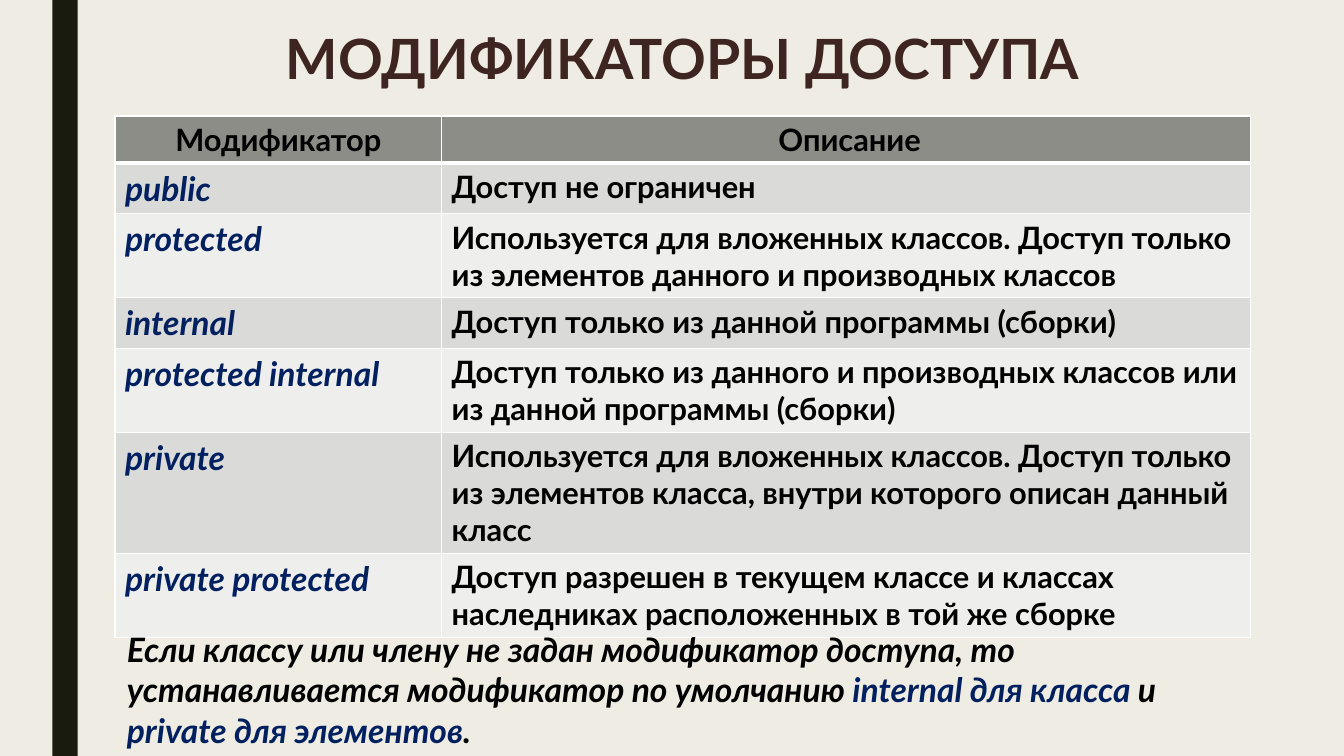
"""Build a slide with a table of access modifiers."""
from lxml.etree import SubElement as Sub
from pptx import Presentation
from pptx.dml.color import RGBColor
from pptx.enum.shapes import MSO_SHAPE as Shape
from pptx.enum.text import MSO_ANCHOR as Anchor, PP_ALIGN as Align
from pptx.oxml.ns import qn
from pptx.util import Inches, Pt

PAPER = RGBColor(0xEF, 0xED, 0xE3)
DARK = RGBColor(0x19, 0x1B, 0x0E)
BROWN = RGBColor(0x3E, 0x25, 0x22)
NAVY = RGBColor(0x00, 0x20, 0x60)
BLACK = RGBColor(0x00, 0x00, 0x00)
WHITE = RGBColor(0xFF, 0xFF, 0xFF)
HEAD = RGBColor(0x8C, 0x8D, 0x86)
BANDS = (RGBColor(0xEE, 0xEE, 0xED), RGBColor(0xDA, 0xDB, 0xD9))

WIDTHS = (3.24, 8.02)
ROWS = (
    (0.47, "Модификатор", " Описание"),
    (0.5, "public", "Доступ не ограничен"),
    (0.83, "protected", "Используется для вложенных классов. Доступ только "
     "из элементов данного и производных классов"),
    (0.5, "internal", "Доступ только из данной программы (сборки)"),
    (0.83, "protected internal", "Доступ только из данного и производных "
     "классов или из данной программы (сборки)"),
    (1.2, "private", "Используется для вложенных классов. Доступ только "
     "из элементов класса, внутри которого описан данный класс"),
    (0.83, "private protected", "Доступ разрешен в текущем классе и классах "
     "наследниках расположенных в той же сборке"),
)
NOTE = (
    ("Если классу или члену не задан модификатор доступа, то "
     "устанавливается модификатор по умолчанию ", BLACK),
    ("internal для класса ", NAVY),
    ("и ", BLACK),
    ("private для элементов", NAVY),
    (".", BLACK),
)


def add_text(para, text, size=22, color=BLACK, italic=False, align=Align.LEFT):
    """Add a bold run to a paragraph."""
    para.alignment = align
    run = para.add_run()
    run.text = text
    font = run.font
    font.name, font.size, font.bold, font.italic = "Lato", Pt(size), True, italic
    font.color.rgb = color


def add_box(slide, left, top, width, height, anchor=Anchor.TOP):
    """Add a wrapping text box and return its first paragraph."""
    box = slide.shapes.add_textbox(
        Inches(left), Inches(top), Inches(width), Inches(height))
    box.text_frame.word_wrap = True
    box.text_frame.vertical_anchor = anchor
    return box.text_frame.paragraphs[0]


def add_bar(slide):
    """Add the dark stripe at the left."""
    bar = slide.shapes.add_shape(
        Shape.RECTANGLE, Inches(0.52), 0, Inches(0.25), Inches(7.5))
    bar.shadow.inherit = False
    bar.fill.solid()
    bar.fill.fore_color.rgb = DARK
    bar.line.fill.background()


def set_edge(cell, side, width):
    """Draw one white border of a cell."""
    props = cell._tc.get_or_add_tcPr()
    edge = Sub(props, qn(f"a:ln{side}"), w=str(Pt(width)))
    fill = Sub(edge, qn("a:solidFill"))
    Sub(fill, qn("a:srgbClr"), val=str(WHITE))


def style_cell(cell, row):
    """Set the borders and fill of a cell by its row."""
    edges = {"L": 1, "R": 1, "T": 3 if row == 1 else 1, "B": 1 if row else 3}
    for side, width in edges.items():
        set_edge(cell, side, width)
    cell.fill.solid()
    cell.fill.fore_color.rgb = BANDS[row % 2] if row else HEAD


def add_grid(slide):
    """Add the table of modifiers."""
    high = sum(row[0] for row in ROWS)
    table = slide.shapes.add_table(
        len(ROWS), len(WIDTHS), Inches(1.14), Inches(1.15),
        Inches(sum(WIDTHS)), Inches(high)).table
    for col, width in zip(table.columns, WIDTHS):
        col.width = Inches(width)
    for i, (height, *texts) in enumerate(ROWS):
        table.rows[i].height = Inches(height)
        for j, text in enumerate(texts):
            cell = table.cell(i, j)
            style_cell(cell, i)
            if i == 0:
                look = {"align": Align.CENTER}
            elif j == 0:
                look = {"size": 24, "color": NAVY, "italic": True}
            else:
                look = {}
            add_text(cell.text_frame.paragraphs[0], text, **look)


def main():
    """Build and save the slide."""
    deck = Presentation()
    deck.slide_width, deck.slide_height = Inches(13.33), Inches(7.5)
    slide = deck.slides.add_slide(deck.slide_layouts[6])
    slide.background.fill.solid()
    slide.background.fill.fore_color.rgb = PAPER
    add_bar(slide)
    title = add_box(slide, 1.52, 0.29, 10.5, 0.64, Anchor.MIDDLE)
    title.line_spacing = 0.89
    add_text(title, "МОДИФИКАТОРЫ ДОСТУПА", size=39.6, color=BROWN,
             align=Align.CENTER)
    add_grid(slide)
    note = add_box(slide, 1.16, 6.19, 11.24, 1.3)
    for text, color in NOTE:
        add_text(note, text, size=24, color=color, italic=True)
    deck.save("out.pptx")


if __name__ == "__main__":
    main()
